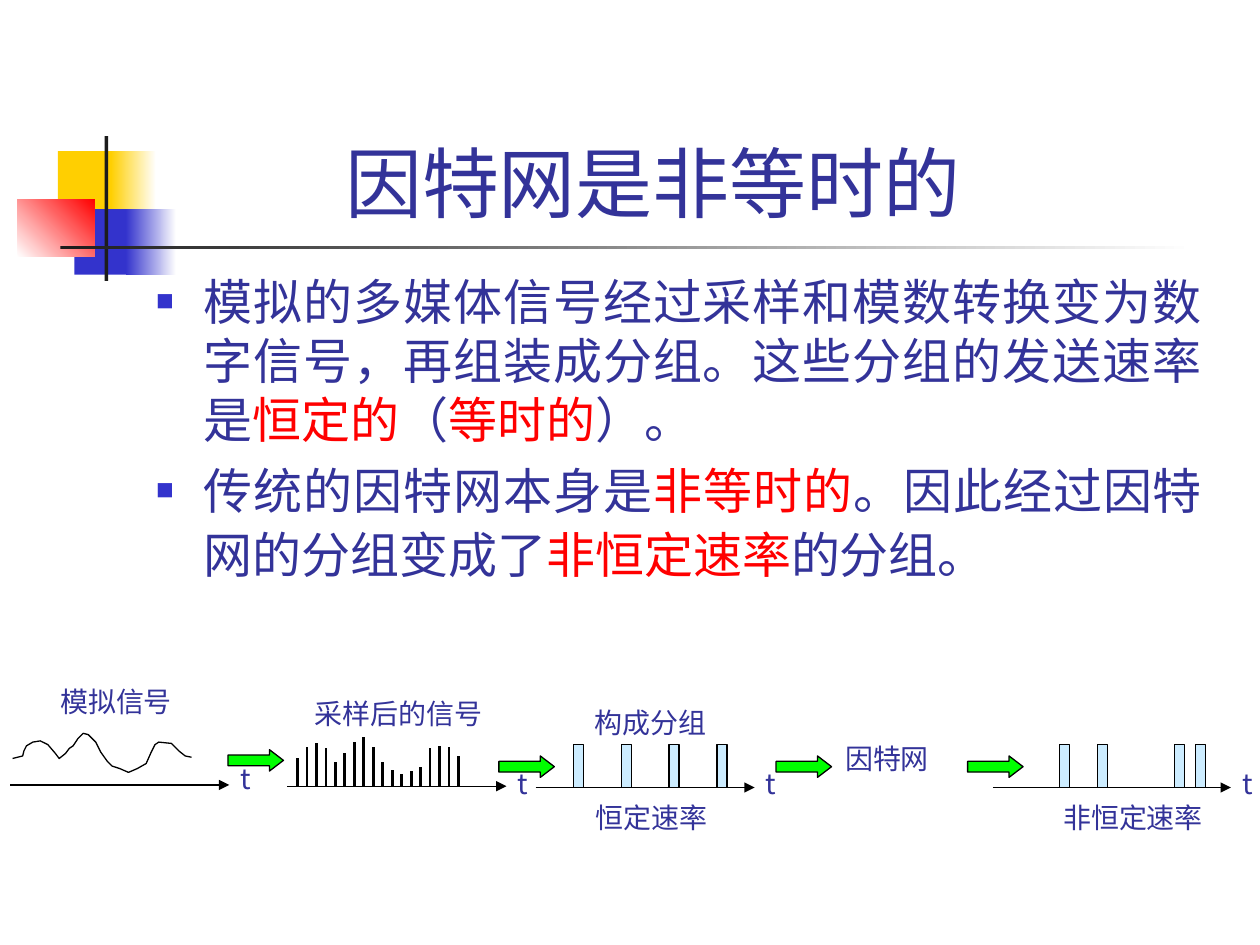
import pptx
import pptx.util
import pptx.dml.color
import pptx.enum.dml
import pptx.enum.shapes
import pptx.enum.text
import pptx.oxml.ns
from lxml import etree

Inches = pptx.util.Inches
Pt = pptx.util.Pt
SHAPE = pptx.enum.shapes.MSO_SHAPE
ALIGN = pptx.enum.text.PP_ALIGN
ANCHOR = pptx.enum.text.MSO_ANCHOR
NAVY, RED, BLUE, BLACK = "333399", "FF0000", "3333CC", "000000"
GOLD, CHARCOAL, WHITE = "FFCF01", "1C1C1C", "FFFFFF"
LABEL_FONT = "Noto Sans CJK SC"


def rgb(code):
    return pptx.dml.color.RGBColor.from_string(code)


def add_element(parent, tag, **attributes):
    return etree.SubElement(parent, pptx.oxml.ns.qn(tag), **attributes)


def add_run(paragraph, text, size=16, color=NAVY, font=LABEL_FONT):
    run = paragraph.add_run()
    run.text = text
    run.font.size = Pt(size)
    run.font.color.rgb = rgb(color)
    run.font.name = font
    add_element(run.font._element, "a:ea", typeface=font)


def add_frame(slide, left, top, width, height, wrap=True, anchor=ANCHOR.TOP):
    box = slide.shapes.add_textbox(Inches(left), Inches(top), Inches(width), Inches(height))
    box.text_frame.word_wrap = wrap
    box.text_frame.vertical_anchor = anchor
    return box.text_frame


def add_label(slide, text, left, top):
    width = 0.31 if text == "t" else 0.2 + 0.222 * len(text)
    frame = add_frame(slide, left, top, width, 0.37, wrap=False, anchor=ANCHOR.MIDDLE)
    add_run(frame.paragraphs[0], text)


def add_block(slide, left, top, width, height, colors, angle=0):
    block = slide.shapes.add_shape(SHAPE.RECTANGLE, Inches(left), Inches(top), Inches(width), Inches(height))
    block.shadow.inherit = False
    block.line.fill.background()
    if len(colors) == 1:
        block.fill.solid()
        block.fill.fore_color.rgb = rgb(colors[0])
    else:
        block.fill.gradient()
        block.fill.gradient_angle = angle
        for stop, position, color in zip(block.fill.gradient_stops, (0, 1), colors):
            stop.position = position
            stop.color.rgb = rgb(color)


def add_line(slide, start, end, weight=0.75, arrow=False):
    line = slide.shapes.add_connector(
        pptx.enum.shapes.MSO_CONNECTOR.STRAIGHT, *(Inches(value) for value in start + end))
    line.line.color.rgb = rgb(BLACK)
    line.line.width = Pt(weight)
    if arrow:
        add_element(line.line._get_or_add_ln(), "a:tailEnd", type="triangle")
    add_element(line._element.spPr, "a:effectLst")


def add_outline(slide, points, fill=None):
    scaled = [(Inches(x), Inches(y)) for x, y in points]
    builder = slide.shapes.build_freeform(*scaled[0])
    builder.add_line_segments(scaled[1:], close=False)
    outline = builder.convert_to_shape()
    outline.shadow.inherit = False
    outline.line.color.rgb = rgb(BLACK)
    outline.line.width = Pt(0.75)
    if fill:
        outline.fill.solid()
        outline.fill.fore_color.rgb = rgb(fill)
    else:
        outline.fill.background()


def add_axis(slide, left, base, length, label_top):
    add_line(slide, (left, base), (left + length, base), arrow=True)
    add_label(slide, "t", left + length - 0.01, label_top)


def add_flow_arrow(slide, left, top):
    arrow = slide.shapes.add_shape(SHAPE.RIGHT_ARROW, Inches(left), Inches(top), Inches(0.44), Inches(0.17))
    arrow.adjustments[0] = 0.5
    arrow.adjustments[1] = 0.654
    arrow.shadow.inherit = False
    arrow.fill.solid()
    arrow.fill.fore_color.rgb = rgb("00FF00")
    arrow.line.color.rgb = rgb(BLACK)
    arrow.line.width = Pt(0.75)


def add_ornament(slide, left, top):
    add_block(slide, left + 0.32, top + 0.12, 0.48, 0.52, [GOLD])
    add_block(slide, left + 0.74, top + 0.12, 0.36, 0.52, [GOLD, WHITE])
    add_block(slide, left + 0.45, top + 0.58, 0.46, 0.52, [BLUE])
    add_block(slide, left + 0.86, top + 0.58, 0.4, 0.52, [BLUE, WHITE])
    add_block(slide, left, top + 0.5, 0.61, 0.46, [WHITE, RED], angle=45)
    add_block(slide, left + 0.69, top, 0.03, 1.15, [CHARCOAL])
    add_block(slide, left + 0.34, top + 0.87, 9, 0.03, [CHARCOAL, WHITE])


def add_title(slide, left, top, width, height):
    paragraph = add_frame(slide, left, top, width, height, anchor=ANCHOR.BOTTOM).paragraphs[0]
    paragraph.alignment = ALIGN.CENTER
    add_run(paragraph, "因特网是非等时的 ", size=44, font="Arial")


def add_body(slide, left, top, width, height):
    points = [
        (33.8, 0, [("模拟的多媒体信号经过采样和模数转换变为数字信号，再组装成分组。这些分组的发送速率是", NAVY),
                   ("恒定的", RED), ("（", NAVY), ("等时的", RED), ("）。", NAVY)]),
        (36.5, 4, [("传统的因特网本身是", NAVY), ("非等时的", RED),
                   ("。因此经过因特网的分组变成了", NAVY), ("非恒定速率", RED), ("的分组。", NAVY)]),
    ]
    frame = add_frame(slide, left, top, width, height)
    for index, (pitch, before, runs) in enumerate(points):
        paragraph = frame.add_paragraph() if index else frame.paragraphs[0]
        properties = paragraph._p.get_or_add_pPr()
        properties.set("marL", str(Inches(0.38)))
        properties.set("indent", str(-Inches(0.38)))
        add_element(add_element(properties, "a:buClr"), "a:srgbClr", val=BLUE)
        add_element(properties, "a:buSzPct", val="60000")
        add_element(properties, "a:buFont", typeface="Arial")
        add_element(properties, "a:buChar", char="■")
        paragraph.alignment = ALIGN.JUSTIFY
        paragraph.line_spacing = Pt(pitch)
        paragraph.space_before = Pt(before)
        for text, color in runs:
            add_run(paragraph, text, size=28, color=color, font="Arial")


def add_analog_stage(slide, left, base):
    wave = [(0.02, 0.21), (0.1, 0.23), (0.11, 0.27), (0.13, 0.31), (0.18, 0.34), (0.24, 0.35),
            (0.3, 0.32), (0.36, 0.25), (0.39, 0.21), (0.44, 0.25), (0.47, 0.29), (0.5, 0.31),
            (0.54, 0.37), (0.58, 0.41), (0.62, 0.4), (0.68, 0.34), (0.72, 0.26), (0.77, 0.19),
            (0.81, 0.15), (0.87, 0.13), (0.94, 0.1), (1.01, 0.13), (1.08, 0.17), (1.12, 0.26),
            (1.15, 0.32), (1.18, 0.34), (1.28, 0.33), (1.34, 0.27), (1.39, 0.23), (1.44, 0.22)]
    add_label(slide, "模拟信号", left + 0.3, base - 0.85)
    add_outline(slide, [(left + x, base - rise) for x, rise in wave])
    add_axis(slide, left, base, 1.74, base - 0.24)


def add_sampled_stage(slide, left, base):
    samples = [0.22, 0.31, 0.34, 0.3, 0.19, 0.26, 0.35, 0.39, 0.31,
               0.19, 0.13, 0.1, 0.12, 0.15, 0.3, 0.32, 0.31, 0.24]
    add_label(slide, "采样后的信号", left + 0.12, base - 0.76)
    for index, sample in enumerate(samples):
        x = left + 0.08 + index * 1.28 / (len(samples) - 1)
        add_line(slide, (x, base), (x, base - sample), weight=1.5)
    add_axis(slide, left, base, 1.74, base - 0.21)


def add_packet_stage(slide, left, base, length, packets, rate, rate_left):
    add_axis(slide, left, base, length, base - 0.22)
    for offset in packets:
        x, top = left + offset, base - 0.34
        add_outline(slide, [(x, base), (x, top), (x + 0.08, top), (x + 0.08, base)], fill="CCECFF")
    add_label(slide, rate, left + rate_left, base + 0.05)


def main():
    deck = pptx.Presentation()
    deck.slide_width, deck.slide_height = Inches(10), Inches(7.5)
    slide = deck.slides.add_slide(deck.slide_layouts[6])
    add_ornament(slide, 0.14, 1.08)
    add_title(slide, 1.52, 1.02, 7.5, 0.84)
    add_body(slide, 1.14, 2.1, 8.5, 1.34)
    add_analog_stage(slide, 0.08, 6.23)
    add_sampled_stage(slide, 2.28, 6.24)
    add_label(slide, "构成分组", 4.62, 5.55)
    add_packet_stage(slide, 4.25, 6.25, 1.74, [0.3 + 0.38 * i for i in range(4)], "恒定速率", 0.38)
    add_label(slide, "因特网", 6.61, 5.83)
    add_packet_stage(slide, 7.88, 6.25, 1.89, [0.53, 0.83, 1.44, 1.61], "非恒定速率", 0.46)
    for left, top in ((1.81, 5.95), (3.96, 6), (6.16, 6), (7.68, 6)):
        add_flow_arrow(slide, left, top)
    deck.save("out.pptx")


if __name__ == "__main__":
    main()
